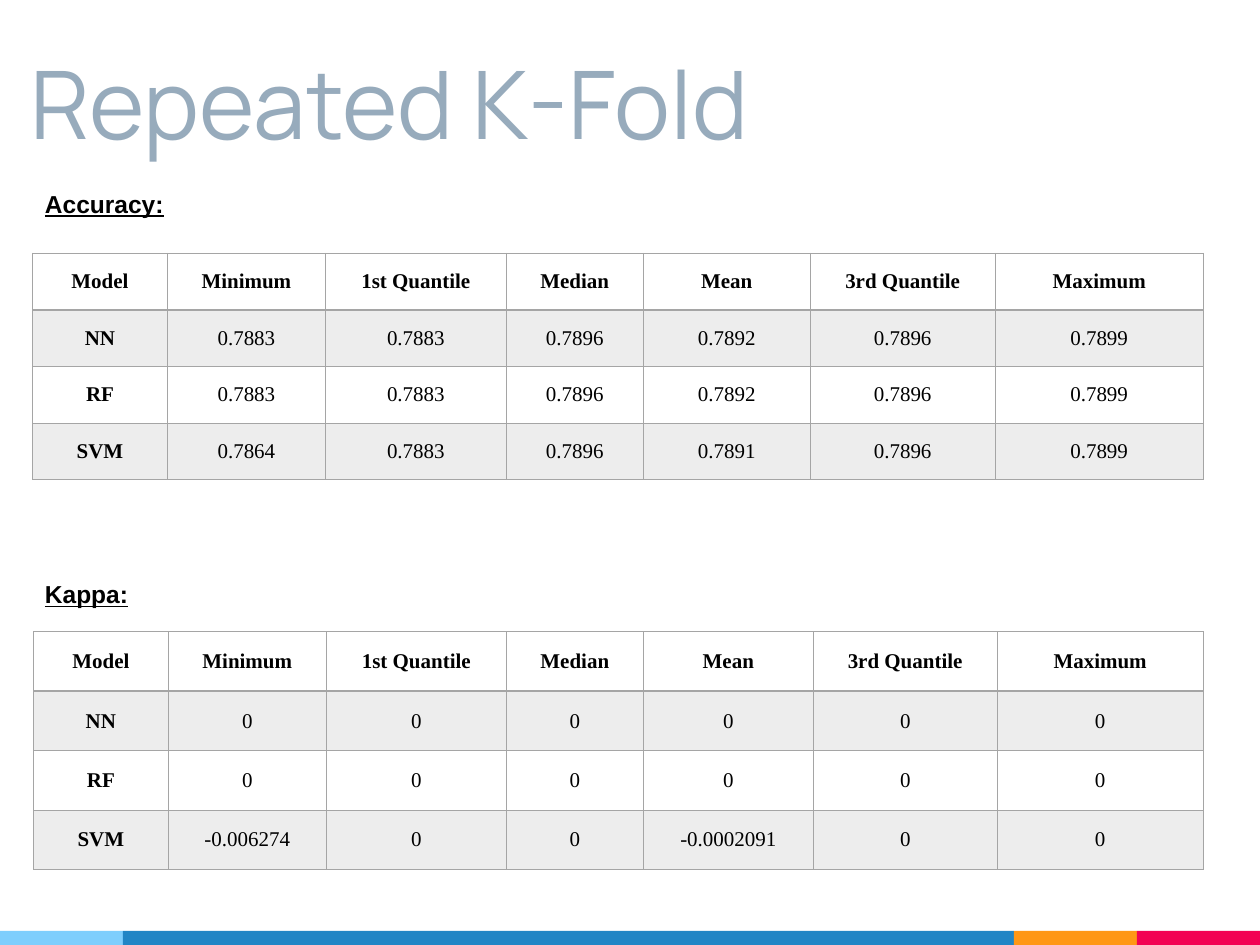
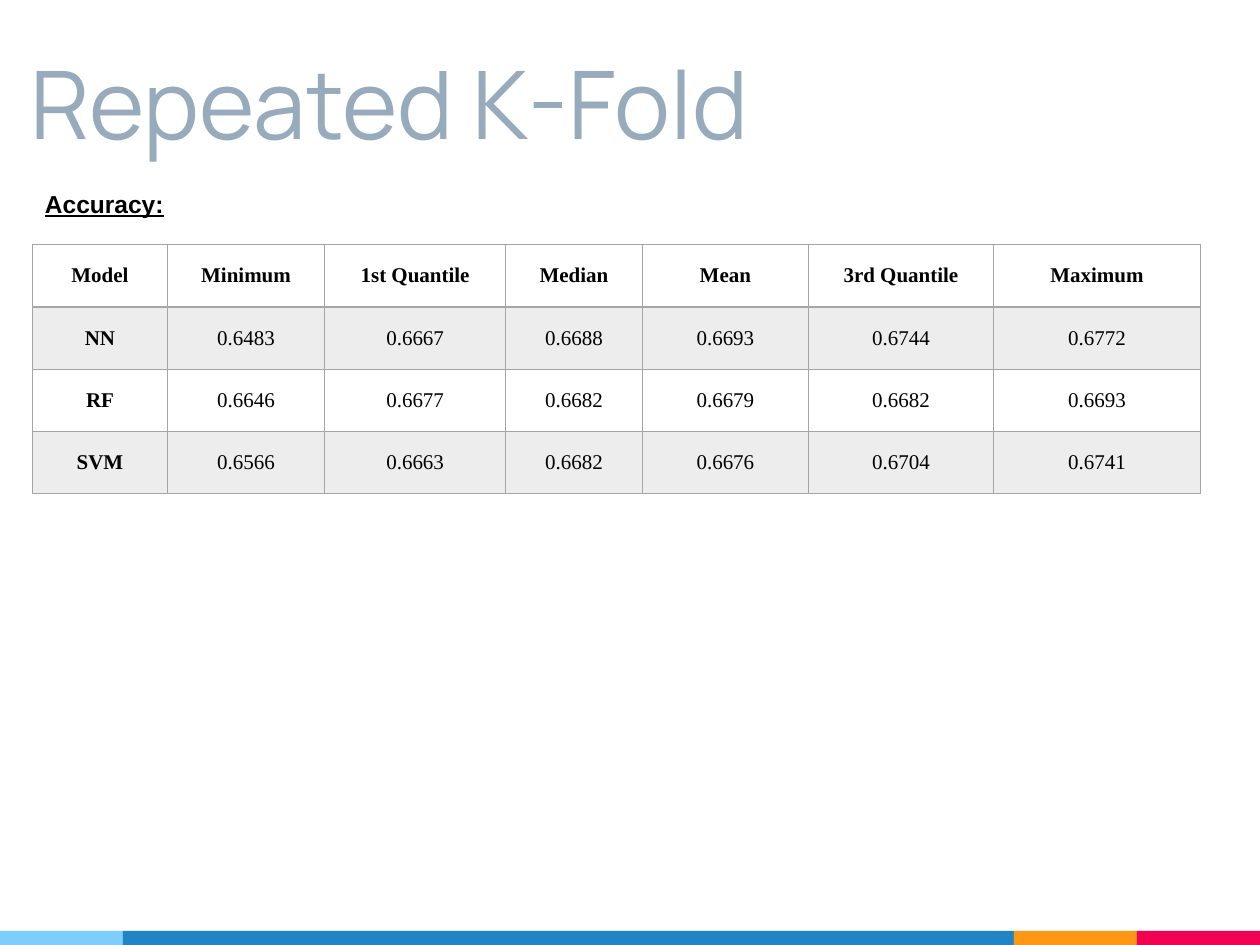
from lxml import etree
from pptx import Presentation
from pptx.dml.color import RGBColor
from pptx.enum import shapes, text
from pptx.oxml import ns
from pptx.util import Pt

GREY, STRIPE, BLACK = "A5A5A5", "EDEDED", "000000"
BANDS = [("7ECEFD", 70.3), ("2185C5", 509.1), ("FF9715", 70.3), ("F20253", 70.3)]
TITLE = {"name": "Manrope", "size": Pt(54), "bold": False}
LABEL = {"name": "Arial", "size": Pt(14), "bold": True, "underline": True}
CELL = {"name": "Times New Roman", "size": Pt(12)}
HEAD = ["Model", "Minimum", "1st Quantile", "Median", "Mean", "3rd Quantile", "Maximum"]

# Each section: label, label top, table left, table top, row height, widths, rows
SLIDES = [
    [
        ("Accuracy:", 104.4, 18.6, 144.8, 32.3,
         [77.1, 90.3, 103.4, 78.3, 95.4, 105.7, 118.9],
         ["NN 0.7883 0.7883 0.7896 0.7892 0.7896 0.7899",
          "RF 0.7883 0.7883 0.7896 0.7892 0.7896 0.7899",
          "SVM 0.7864 0.7883 0.7896 0.7891 0.7896 0.7899"]),
        ("Kappa:", 327.6, 19.1, 361, 34,
         [77.1, 90.3, 102.9, 78.3, 97.1, 105.1, 117.7],
         ["NN 0 0 0 0 0 0",
          "RF 0 0 0 0 0 0",
          "SVM -0.006274 0 0 -0.0002091 0 0"]),
    ],
    [
        ("Accuracy:", 104.4, 18.6, 139.8, 35.6,
         [77.1, 89.9, 103.4, 78.1, 95, 105.7, 118.3],
         ["NN 0.6483 0.6667 0.6688 0.6693 0.6744 0.6772",
          "RF 0.6646 0.6677 0.6682 0.6679 0.6682 0.6693",
          "SVM 0.6566 0.6663 0.6682 0.6676 0.6704 0.6741"]),
    ],
]


def style(font, look, tint):
    """Apply a dict of font values and a hex colour."""
    for key, val in look.items():
        setattr(font, key, val)
    font.color.rgb = RGBColor.from_string(tint)


def edge(cell, side, width):
    """Draw one border of a cell; side is L, R, T or B."""
    line = etree.SubElement(cell._tc.get_or_add_tcPr(), ns.qn(f"a:ln{side}"), w=str(Pt(width)))
    fill = etree.SubElement(line, ns.qn("a:solidFill"))
    etree.SubElement(fill, ns.qn("a:srgbClr"), val=GREY)


prs = Presentation()
prs.slide_width, prs.slide_height = Pt(720), Pt(540)
layout = prs.slide_layouts[5]

for num, parts in enumerate(SLIDES):
    slide = prs.slides.add_slide(layout)

    # Colour bands are drawn once and moved to the shared layout
    if num == 0:
        left = 0
        for tint, width in BANDS:
            band = slide.shapes.add_shape(
                shapes.MSO_SHAPE.RECTANGLE, Pt(left), Pt(532), Pt(width), Pt(8))
            band.shadow.inherit = False
            band.fill.solid()
            band.fill.fore_color.rgb = RGBColor.from_string(tint)
            band.line.fill.background()
            layout.shapes.element.append(band.element)
            left += width

    title = slide.shapes.title
    title.left, title.top, title.width, title.height = Pt(10.1), Pt(7.9), Pt(600.5), Pt(90)
    frame = title.text_frame
    frame.text = "Repeated K-Fold"
    frame.auto_size = text.MSO_AUTO_SIZE.NONE
    frame.vertical_anchor = text.MSO_ANCHOR.BOTTOM
    for side in ("left", "right", "top", "bottom"):
        setattr(frame, f"margin_{side}", Pt(7.2))
    frame.paragraphs[0].alignment = text.PP_ALIGN.LEFT
    style(frame.paragraphs[0].runs[0].font, TITLE, "97ABBC")

    for label, high, left, top, tall, widths, rows in parts:
        box = slide.shapes.add_textbox(Pt(18.6), Pt(high), Pt(512), Pt(24.2))
        box.text_frame.word_wrap = True
        box.text_frame.auto_size = text.MSO_AUTO_SIZE.SHAPE_TO_FIT_TEXT
        box.text_frame.text = label
        style(box.text_frame.paragraphs[0].runs[0].font, LABEL, BLACK)

        data = [HEAD] + [row.split() for row in rows]
        table = slide.shapes.add_table(
            len(data), len(HEAD), Pt(left), Pt(top), Pt(sum(widths)), Pt(tall * len(data))).table
        for col, width in zip(table.columns, widths):
            col.width = Pt(width)
        for r, row in enumerate(data):
            table.rows[r].height = Pt(tall)
            for c, word in enumerate(row):
                cell = table.cell(r, c)
                cell.text = word
                cell.vertical_anchor = text.MSO_ANCHOR.MIDDLE
                for side in ("left", "right", "top", "bottom"):
                    setattr(cell, f"margin_{side}", Pt(5))
                para = cell.text_frame.paragraphs[0]
                para.alignment = text.PP_ALIGN.CENTER
                style(para.runs[0].font, CELL | {"bold": r == 0 or c == 0}, BLACK)
                for side in "LRTB":
                    edge(cell, side, 1 if (r, side) in [(0, "B"), (1, "T")] else 0.5)
                if r % 2:
                    cell.fill.solid()
                    cell.fill.fore_color.rgb = RGBColor.from_string(STRIPE)
                else:
                    cell.fill.background()

prs.save("out.pptx")
